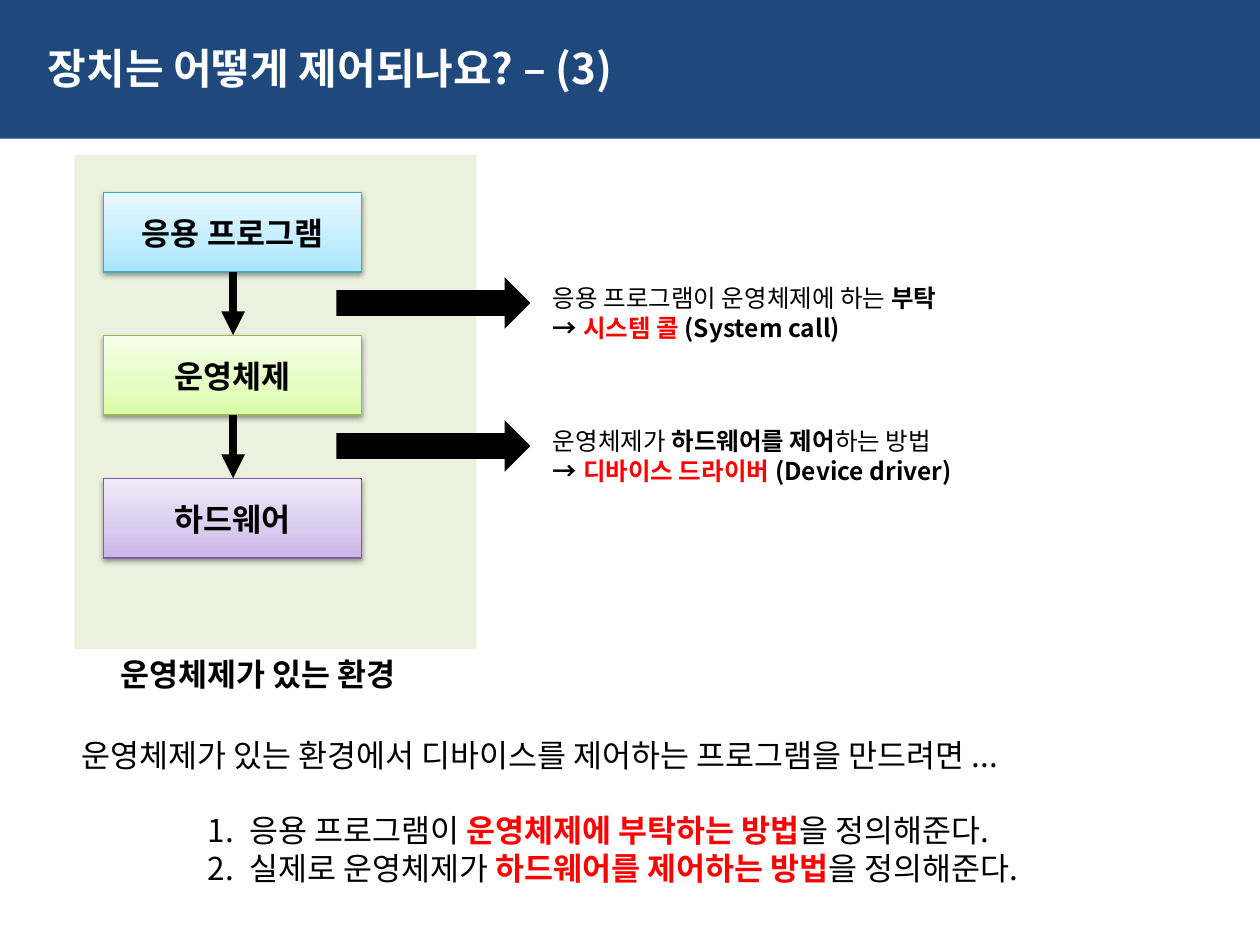
"""Build the slide on how an operating system controls devices."""
from pptx import Presentation
from pptx.dml.color import RGBColor as Rgb
from pptx.enum.shapes import MSO_CONNECTOR as Connector, MSO_SHAPE as Shape
from pptx.enum.text import MSO_ANCHOR as Anchor, MSO_AUTO_SIZE as AutoSize, PP_ALIGN as Align
from pptx.oxml import parse_xml
from pptx.oxml.ns import nsdecls, qn
from pptx.util import Inches, Pt
from lxml.etree import SubElement

FONT = "Noto Sans CJK KR"
COLORS = {"banner": "1F497D", "panel": "EBF1DE", "black": "000000", "white": "FFFFFF", "red": "FF0000"}
LAYERS = [
    ("응용 프로그램", ("A7E6FF", "C1EDFF", "E7F8FF"), "46AAC5"),
    ("운영체제", ("DAFDA7", "E4FCC2", "F5FFE7"), "98B955"),
    ("하드웨어", ("C9B5E8", "D8CBEE", "F0EAF9"), "7D60A0"),
]
CALLOUTS = [
    [[("응용 프로그램이 운영체제에 하는 ",), ("부탁", True)],
     [("→ ", True), ("시스템 콜 ", True, "red"), ("(System call)", True)]],
    [[("운영체제가 ",), ("하드웨어를 제어", True), ("하는 방법",)],
     [("→ ", True), ("디바이스 드라이버 ", True, "red"), ("(Device driver)", True)]],
]
SUMMARY = [
    [("운영체제가 있는 환경에서 디바이스를 제어하는 프로그램을 만드려면 ...",)],
    [("응용 프로그램이 ",), ("운영체제에 부탁하는 방법", True, "red"), ("을 정의해준다.",)],
    [("실제로 운영체제가 ",), ("하드웨어를 제어하는 방법", True, "red"), ("을 정의해준다.",)],
]


def grid(*cells):
    """Turn cells of a 100 by 75 grid into lengths."""
    return [Inches(cell / 10) for cell in cells]


def write(box, lines, size=18, align=Align.LEFT, anchor=Anchor.TOP):
    """Fill a box with paragraphs of (text, bold, color) spans."""
    frame = box.text_frame
    frame.word_wrap = True
    frame.auto_size = AutoSize.NONE
    frame.vertical_anchor = anchor
    for index, line in enumerate(lines):
        para = frame.add_paragraph() if index else frame.paragraphs[0]
        para.alignment = align
        para.space_before = Pt(0)
        for text, bold, color in ((*part, False, "black")[:3] if len(part) == 1
                                  else (*part, "black")[:3] for part in line):
            span = para.add_run()
            span.text = text
            span.font.name = FONT
            span.font.size = Pt(size)
            span.font.bold = bold
            span.font.color.rgb = Rgb.from_string(COLORS[color])
            SubElement(span.font._element, qn("a:ea"), typeface=FONT)


deck = Presentation()
deck.slide_width, deck.slide_height = grid(100, 75)
page = deck.slides.add_slide(deck.slide_layouts[1])
shapes = page.shapes
title, summary = page.placeholders

for name, cells in {"banner": (0, 0, 100, 11), "panel": (5.9, 12.3, 31.9, 39.2)}.items():
    block = shapes.add_shape(Shape.RECTANGLE, *grid(*cells))
    block.shadow.inherit = False
    block.fill.solid()
    block.fill.fore_color.rgb = Rgb.from_string(COLORS[name])
    block.line.fill.background()

tree = title.element.getparent()
for holder, cells in ((title, (2.8, 2.9, 51.4, 5)), (summary, (5.5, 57.9, 83.2, 13.1))):
    tree.append(holder.element)
    holder.left, holder.top, holder.width, holder.height = grid(*cells)
write(title, [[("장치는 어떻게 제어되나요? – (3)", True, "white")]], size=24)

pitch = 11.35
for row, (name, stops, edge) in enumerate(LAYERS):
    layer = shapes.add_shape(Shape.RECTANGLE, *grid(8.2, 15.3 + row * pitch, 20.5, 6.3))
    layer.line.color.rgb = Rgb.from_string(edge)
    layer.line.width = Pt(0.75)
    layer.shadow.inherit = False
    props = layer.element.spPr
    marks = "".join(f'<a:gs pos="{place}"><a:srgbClr val="{color}"/></a:gs>'
                    for place, color in zip((0, 35000, 100000), stops))
    props.insert(2, parse_xml(f'<a:gradFill {nsdecls("a")} rotWithShape="1"><a:gsLst>{marks}</a:gsLst>'
                              '<a:lin ang="16200000" scaled="0"/></a:gradFill>'))
    props.find(qn("a:effectLst")).append(parse_xml(
        f'<a:outerShdw {nsdecls("a")} blurRad="40000" dist="20000" dir="5400000" rotWithShape="0">'
        '<a:srgbClr val="000000"><a:alpha val="38000"/></a:srgbClr></a:outerShdw>'))
    write(layer, [[(name, True)]], align=Align.CENTER, anchor=Anchor.MIDDLE)

for row, lines in enumerate(CALLOUTS):
    top = row * pitch
    link = shapes.add_connector(Connector.STRAIGHT, *grid(18.5, 21.6 + top, 18.5, 26.6 + top))
    link.line.color.rgb = Rgb.from_string(COLORS["black"])
    link.line.width = Pt(4.5)
    SubElement(link.line._get_or_add_ln(), qn("a:tailEnd"), type="triangle")
    SubElement(link._element.spPr, qn("a:effectLst"))

    arrow = shapes.add_shape(Shape.RIGHT_ARROW, *grid(26.7, 22 + top, 15.4, 4.1))
    arrow.shadow.inherit = False
    arrow.fill.solid()
    arrow.fill.fore_color.rgb = Rgb.from_string(COLORS["black"])
    arrow.line.fill.background()
    write(shapes.add_textbox(*grid(42.9, 22 + top, 36.2, 5.7)), lines, size=14)

write(shapes.add_textbox(*grid(8.6, 51.5, 26.5, 4)), [[("운영체제가 있는 환경", True)]])

write(summary, SUMMARY)
for index, para in enumerate(summary.text_frame.paragraphs):
    props = para._p.get_or_add_pPr()
    props.set("marL", str(Inches(1.33) if index else 0))
    props.set("indent", str(Inches(-0.33) if index else 0))
    if index:
        SubElement(props, qn("a:buFont"), typeface=FONT)
        SubElement(props, qn("a:buAutoNum"), type="arabicPeriod")
    else:
        SubElement(props, qn("a:buNone"))
summary.text_frame.paragraphs[1].space_before = Pt(21.6)

deck.save("out.pptx")
